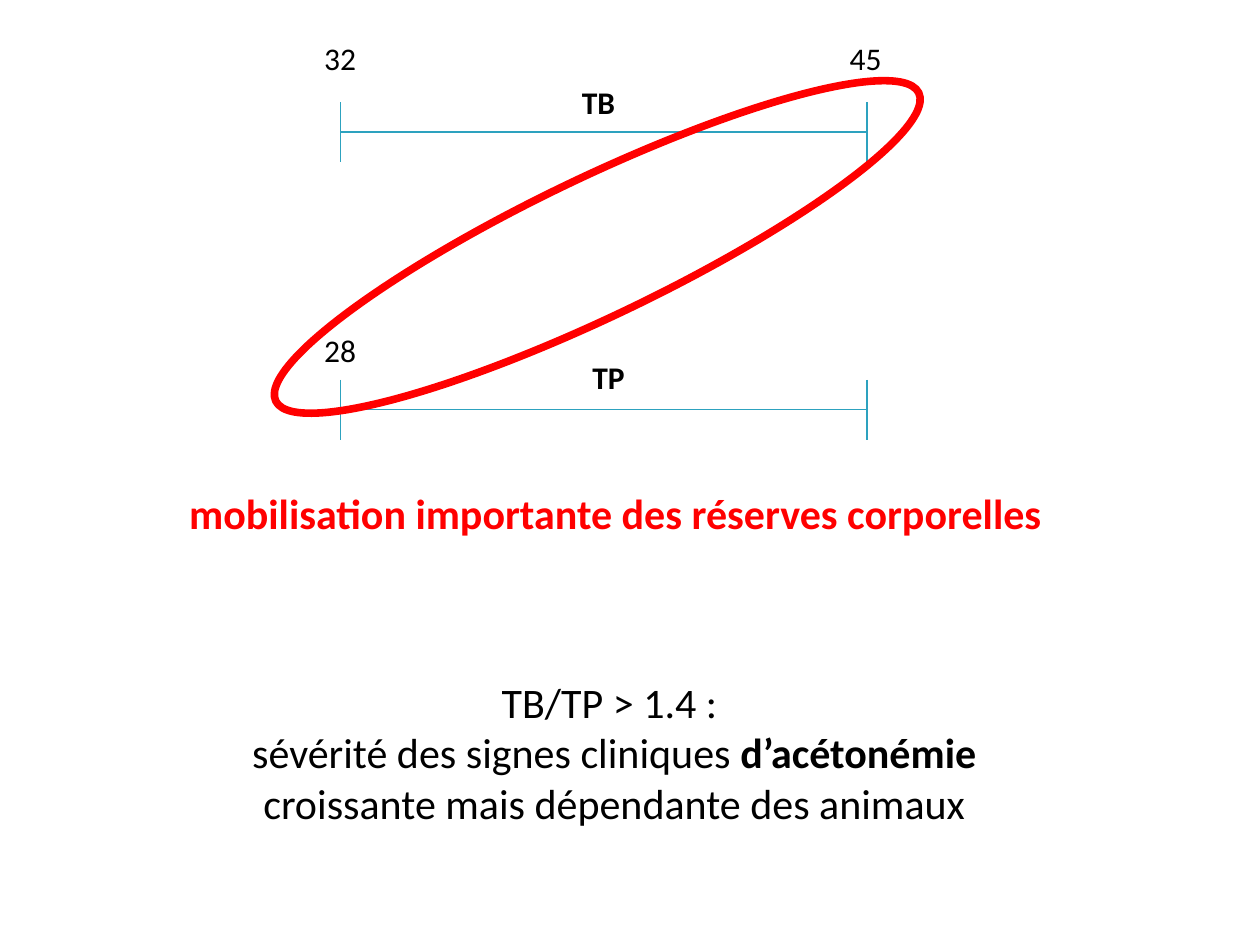
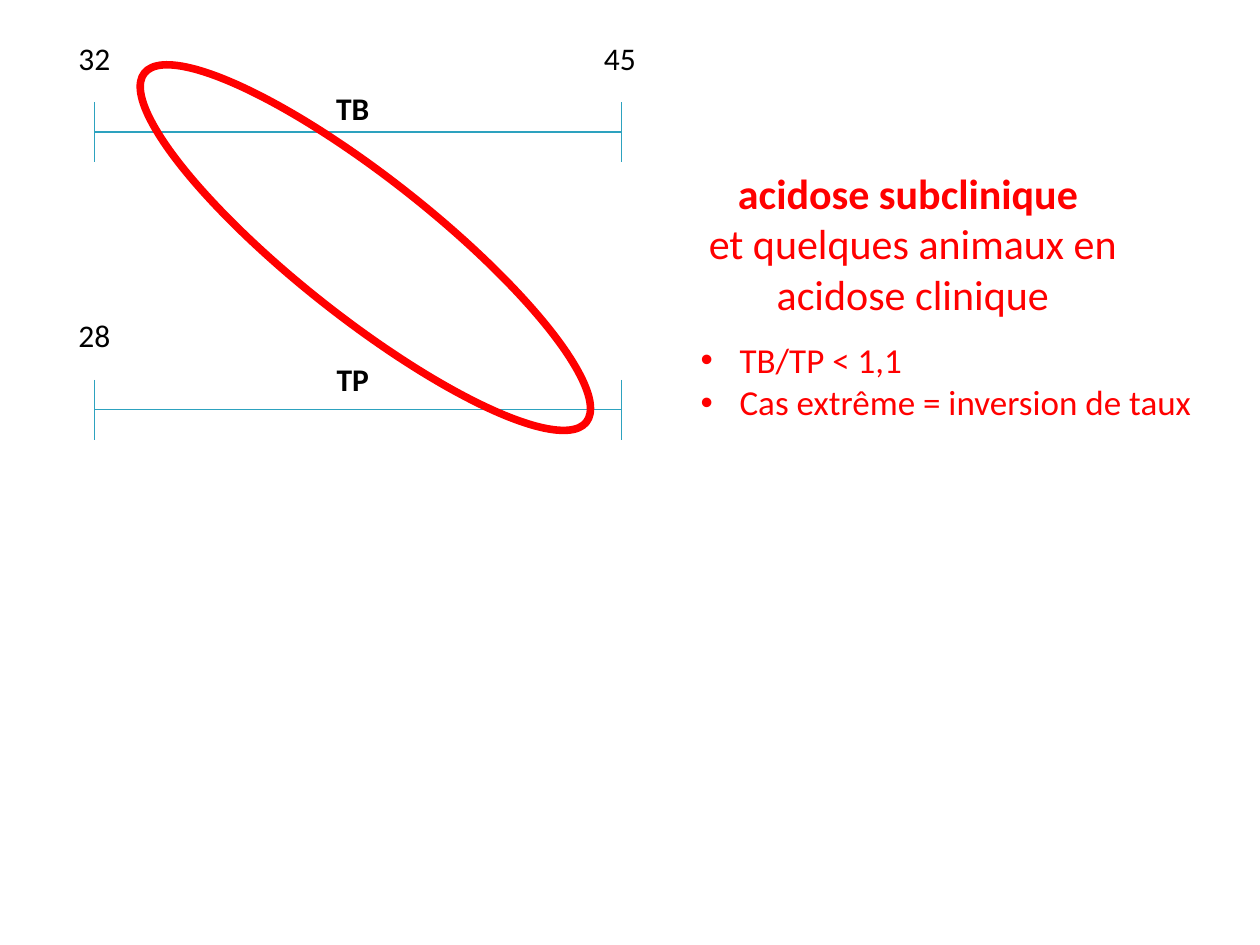
from dataclasses import dataclass

from lxml import etree
from pptx import Presentation, util as u
from pptx.dml.color import RGBColor
from pptx.enum import shapes, text
from pptx.oxml import ns

SLIDE_WIDTH, SLIDE_HEIGHT = u.Inches(10), u.Inches(7.5)
COLUMNS, ROWS = 100, 75
FONT = "Calibri"
BLACK, RED, TEAL = "000000", "FF0000", "2DA2BF"
CENTER, LEFT = text.PP_ALIGN.CENTER, text.PP_ALIGN.LEFT
SCALE_SPAN, TICK_HALF = 41.8, 2.37
SCALE_ROWS = (10.47, 32.53)


@dataclass(frozen=True)
class Area:
    column: float
    row: float
    columns: float
    rows: float


@dataclass(frozen=True)
class Run:
    wording: str
    bold: bool = False


@dataclass(frozen=True)
class Style:
    size: int
    color: str
    align: text.PP_ALIGN = CENTER
    bullet: bool = False


@dataclass(frozen=True)
class Label:
    wording: str
    column: float
    row: float
    columns: float = 9.4
    bold: bool = False


@dataclass(frozen=True)
class Diagram:
    start: float
    labels: tuple[Label, ...]
    ellipse: Area
    rotation: float


VALUE_STYLE = Style(18, BLACK)
MESSAGE_STYLE = Style(24, BLACK)
ALERT_STYLE = Style(24, RED)
LIST_STYLE = Style(20, RED, LEFT, bullet=True)

RESERVES = Diagram(
    27,
    (
        Label("TB", 42, 6.1, 11, True),
        Label("TP", 42.8, 27.9, 11, True),
        Label("32", 22.3, 2.6),
        Label("45", 64, 2.6),
        Label("28", 22.3, 25.8),
    ),
    Area(41.9, -8.7, 11, 56.6),
    64.4,
)
ACIDOSIS = Diagram(
    7.5,
    (
        Label("TB", 22.5, 6.6, 11, True),
        Label("TP", 22.5, 28.1, 11, True),
        Label("32", 2.8, 2.6),
        Label("45", 44.5, 2.6),
        Label("28", 2.8, 24.6),
    ),
    Area(23.5, -2.7, 11, 44.7),
    308.3,
)


def across(columns: float) -> int:
    return round(SLIDE_WIDTH * columns / COLUMNS)


def down(rows: float) -> int:
    return round(SLIDE_HEIGHT * rows / ROWS)


def box(area: Area) -> tuple[int, int, int, int]:
    return across(area.column), down(area.row), across(area.columns), down(area.rows)


def rgb(color: str) -> RGBColor:
    return RGBColor.from_string(color)


def set_bullet(paragraph, bullet: bool) -> None:
    properties = paragraph._p.get_or_add_pPr()
    indent = u.Inches(0.31) if bullet else 0
    properties.set("marL", str(indent))
    properties.set("indent", str(-indent))
    if bullet:
        font = etree.SubElement(properties, ns.qn("a:buFont"))
        font.set("typeface", "Arial")
        etree.SubElement(properties, ns.qn("a:buChar")).set("char", "•")
    else:
        etree.SubElement(properties, ns.qn("a:buNone"))


def write(shape, paragraphs: list[list[Run]], style: Style) -> None:
    frame = shape.text_frame
    frame.text = "\n".join("" for _ in paragraphs)
    frame.word_wrap = True
    frame.auto_size = text.MSO_AUTO_SIZE.NONE
    frame.vertical_anchor = text.MSO_ANCHOR.TOP
    for paragraph, runs in zip(frame.paragraphs, paragraphs):
        set_bullet(paragraph, style.bullet)
        paragraph.alignment = style.align
        paragraph.space_before = paragraph.space_after = u.Pt(0)
        for content in runs:
            run = paragraph.add_run()
            run.text = content.wording
            run.font.name = FONT
            run.font.size = u.Pt(style.size)
            run.font.bold = content.bold
            run.font.color.rgb = rgb(style.color)


def fill_placeholder(shape, area: Area, paragraphs: list[list[Run]], style: Style) -> None:
    shape.left, shape.top, shape.width, shape.height = box(area)
    write(shape, paragraphs, style)


def add_text(slide, area: Area, paragraphs: list[list[Run]], style: Style) -> None:
    write(slide.shapes.add_textbox(*box(area)), paragraphs, style)


def add_line(group, start: tuple[float, float], end: tuple[float, float]) -> None:
    line = group.shapes.add_connector(
        shapes.MSO_CONNECTOR.STRAIGHT,
        across(start[0]), down(start[1]), across(end[0]), down(end[1]),
    )
    line.line.color.rgb = rgb(TEAL)
    line.line.width = u.Pt(0.75)
    etree.SubElement(line._element.spPr, ns.qn("a:effectLst"))


def add_scale(slide, start: float, row: float) -> None:
    group = slide.shapes.add_group_shape()
    end = start + SCALE_SPAN
    for column in (start, end):
        add_line(group, (column, row - TICK_HALF), (column, row + TICK_HALF))
    add_line(group, (start, row), (end, row))


def add_diagram(slide, diagram: Diagram) -> None:
    for row in SCALE_ROWS:
        add_scale(slide, diagram.start, row)
    for label in diagram.labels:
        area = Area(label.column, label.row, label.columns, 4)
        add_text(slide, area, [[Run(label.wording, label.bold)]], VALUE_STYLE)
    ellipse = slide.shapes.add_shape(shapes.MSO_SHAPE.OVAL, *box(diagram.ellipse))
    ellipse.rotation = diagram.rotation
    ellipse.shadow.inherit = False
    ellipse.fill.background()
    ellipse.line.color.rgb = rgb(RED)
    ellipse.line.width = u.Pt(4.33)


def build_reserves(presentation) -> None:
    slide = presentation.slides.add_slide(presentation.slide_layouts.get_by_name("Title Only"))
    add_diagram(slide, RESERVES)
    fill_placeholder(
        slide.shapes.title,
        Area(13.8, 38.2, 70.1, 5),
        [[Run("mobilisation importante des réserves corporelles", True)]],
        ALERT_STYLE,
    )
    add_text(
        slide,
        Area(15.9, 53.2, 65.7, 13.1),
        [
            [Run("TB/TP > 1.4 : ")],
            [
                Run("sévérité des signes cliniques "),
                Run("d’acétonémie", True),
                Run(" croissante mais dépendante des animaux"),
            ],
        ],
        MESSAGE_STYLE,
    )


def build_acidosis(presentation) -> None:
    slide = presentation.slides.add_slide(
        presentation.slide_layouts.get_by_name("Title and Content")
    )
    add_diagram(slide, ACIDOSIS)
    fill_placeholder(
        slide.shapes.title,
        Area(50.4, 12.8, 44.1, 13.1),
        [
            [Run("acidose subclinique ", True)],
            [Run("et quelques animaux en acidose clinique")],
        ],
        ALERT_STYLE,
    )
    fill_placeholder(
        slide.placeholders[1],
        Area(54.6, 26.4, 43.1, 7.7),
        [[Run("TB/TP < 1,1")], [Run("Cas extrême = inversion de taux")]],
        LIST_STYLE,
    )


def main() -> None:
    presentation = Presentation()
    presentation.slide_width, presentation.slide_height = SLIDE_WIDTH, SLIDE_HEIGHT
    build_reserves(presentation)
    build_acidosis(presentation)
    presentation.save("out.pptx")


if __name__ == "__main__":
    main()
